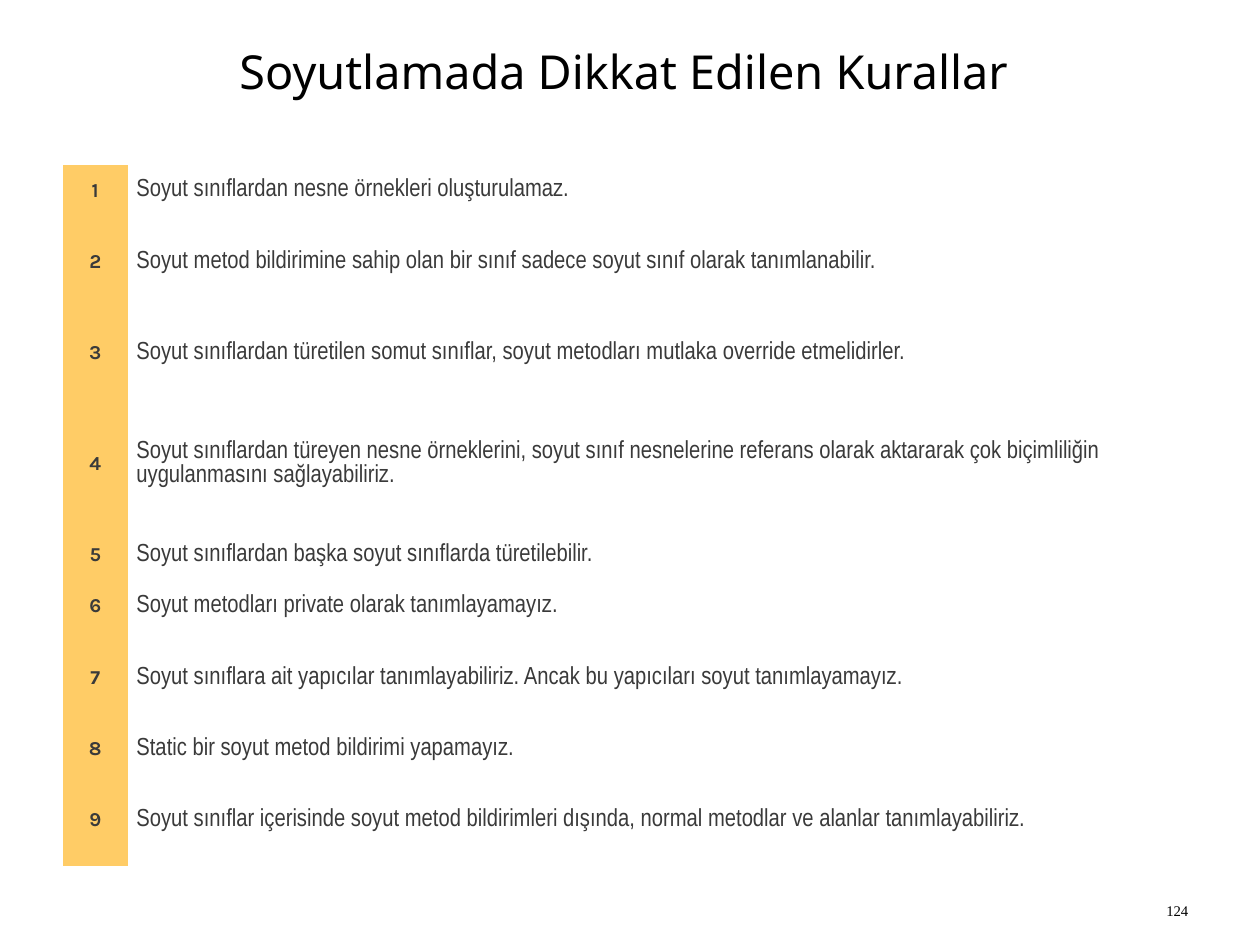
"""Build the slide listing nine numbered rules of abstraction."""
from pptx import Presentation
from pptx.dml.color import RGBColor
from pptx.enum.text import MSO_ANCHOR, PP_ALIGN
from pptx.oxml.ns import qn
from pptx.util import Pt

PX = 9144
COLORS = {"black": "000000", "text": "3A3A3A", "number": "FFCC66"}
NO_GRID_STYLE = "{2D5ABB26-0587-4C30-8999-92F81FD0307C}"
RULES = [
    (58, "Soyut sınıflardan nesne örnekleri oluşturulamaz."),
    (103, "Soyut metod bildirimine sahip olan bir sınıf sadece soyut sınıf olarak tanımlanabilir."),
    (103, "Soyut sınıflardan türetilen somut sınıflar, soyut metodları mutlaka override etmelidirler."),
    (147, "Soyut sınıflardan türeyen nesne örneklerini, soyut sınıf nesnelerine referans olarak "
          "aktararak çok biçimliliğin uygulanmasını sağlayabiliriz."),
    (58, "Soyut sınıflardan başka soyut sınıflarda türetilebilir."),
    (58, "Soyut metodları private olarak tanımlayamayız."),
    (103, "Soyut sınıflara ait yapıcılar tanımlayabiliriz. Ancak bu yapıcıları soyut tanımlayamayız."),
    (58, "Static bir soyut metod bildirimi yapamayız."),
    (103, "Soyut sınıflar içerisinde soyut metod bildirimleri dışında, normal metodlar ve alanlar "
          "tanımlayabiliriz."),
]


def px(*lengths):
    return [length * PX for length in lengths]


def write(text_frame, text, font_name, size, color, alignment, bold=False):
    text_frame.text = text
    text_frame.word_wrap = True
    paragraph = text_frame.paragraphs[0]
    paragraph.alignment = alignment
    font = paragraph.runs[0].font
    font.name, font.size, font.bold = font_name, Pt(size), bold
    font.color.rgb = RGBColor.from_string(COLORS[color])


presentation = Presentation()
presentation.slide_width, presentation.slide_height = px(1422, 1066)
slide = presentation.slides.add_slide(presentation.slide_layouts[6])

page_number = slide.shapes.add_textbox(*px(1019, 971, 332, 71)).text_frame
write(page_number, "124", "Times New Roman", 12, "black", PP_ALIGN.RIGHT)
page_number.vertical_anchor = MSO_ANCHOR.BOTTOM

title = slide.shapes.add_textbox(*px(71, 43, 1280, 194)).text_frame
write(title, "Soyutlamada Dikkat Edilen Kurallar ", "Noto Sans", 38, "black", PP_ALIGN.CENTER)

table_height = sum(height for height, rule in RULES)
frame = slide.shapes.add_table(len(RULES), 2, *px(71, 186, 1280, table_height))
table = frame.table
table.first_row = table.horz_banding = False
next(frame.element.iter(qn("a:tableStyleId"))).text = NO_GRID_STYLE
table.columns[0].width, table.columns[1].width = px(73, 1207)

for index, (height, rule) in enumerate(RULES):
    table.rows[index].height = px(height)[0]
    number_cell, rule_cell = table.cell(index, 0), table.cell(index, 1)
    write(number_cell.text_frame, str(index + 1), "Karla", 16, "text", PP_ALIGN.CENTER, True)
    write(rule_cell.text_frame, rule, "Arial Narrow", 20, "text", PP_ALIGN.LEFT)
    number_cell.fill.solid()
    number_cell.fill.fore_color.rgb = RGBColor.from_string(COLORS["number"])
    rule_cell.fill.background()
    number_cell.vertical_anchor = rule_cell.vertical_anchor = MSO_ANCHOR.MIDDLE

presentation.save("out.pptx")
